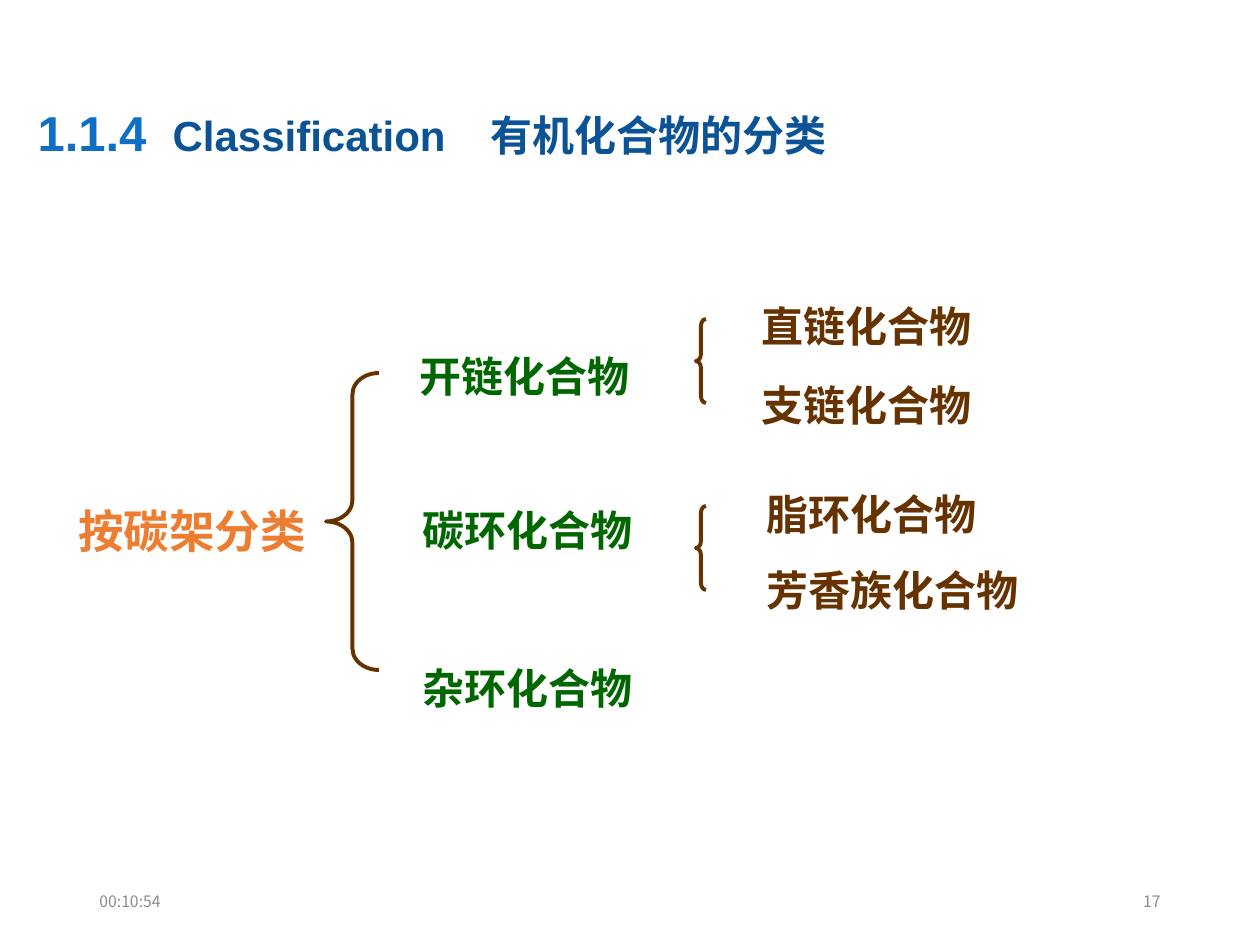
from lxml import etree
from pptx import Presentation
from pptx import util as u
from pptx.dml.color import RGBColor
from pptx.enum import shapes, text
from pptx.oxml.ns import qn

COLORS = {"number": "0F6FC6", "title": "0B5395", "root": "ED7D31",
          "class": "006600", "kind": "663300", "foot": "8C8C8C"}
CJK = "Noto Sans CJK SC"
SCALE = 914400 / 126


def px(n):
    return u.Emu(round(n * SCALE))


def rgb(name):
    return RGBColor.from_string(COLORS[name])


def style(para, face, size, color, bold=True):
    font = para.font
    font.name, font.size, font.bold = face, u.Pt(size), bold
    font.color.rgb = rgb(color)
    mark = para._p.pPr.find(qn("a:defRPr"))
    latin = mark.find(qn("a:latin"))
    east = etree.Element(qn("a:ea"), typeface=CJK)
    latin.addnext(east)


def label(slide, box, words, size, color, face="Times New Roman", bold=True):
    shape = slide.shapes.add_textbox(*map(px, box))
    frame = shape.text_frame
    frame.word_wrap = True
    para = frame.paragraphs[0]
    para.text = words
    style(para, face, size, color, bold)
    return frame


def brace(slide, box, bend):
    shape = slide.shapes.add_shape(shapes.MSO_SHAPE.LEFT_BRACE, *map(px, box))
    shape.shadow.inherit = False
    shape.fill.background()
    shape.line.color.rgb = rgb("kind")
    shape.line.width = u.Pt(2.25)
    shape.adjustments[0] = bend
    shape.adjustments[1] = 0.5


def heading(slide, box, stops):
    title = slide.shapes.title
    title.left, title.top, title.width, title.height = map(px, box)
    frame = title.text_frame
    frame.word_wrap = True
    frame.auto_size = text.MSO_AUTO_SIZE.NONE
    frame.vertical_anchor = text.MSO_ANCHOR.TOP
    para = frame.paragraphs[0]
    para.alignment = text.PP_ALIGN.LEFT
    # Tab stops hold the gaps between the three parts
    tabs = etree.SubElement(para._p.get_or_add_pPr(), qn("a:tabLst"))
    for stop in stops:
        etree.SubElement(tabs, qn("a:tab"), pos=str(px(stop)), algn="l")
    style(para, "Arial", 24, "title")
    num = para.add_run()
    num.text = "1.1.4"
    num.font.size = u.Pt(28)
    num.font.color.rgb = rgb("number")
    para.add_run().text = "\tClassification\t有机化合物的分类"


def classes(slide, box):
    """Root term, large brace and the three main classes."""
    x, y, w, h = box
    label(slide, (x, y + 153, 260, 68), "按碳架分类", 26, "root")
    brace(slide, (x + 260, y + 29, 53, 297), 0.4)
    rows = [(341, 0, "开链化合物"), (344, 154, "碳环化合物"), (344, 312, "杂环化合物")]
    for dx, dy, words in rows:
        label(slide, (x + dx, y + dy, w - dx, 64), words, 24, "class")


def kinds(slide, box, rows):
    """Small brace with the kinds of one class."""
    x, y, w, h = box
    brace(slide, (x, y, 10, h), 0.667)
    for dx, dy, words in rows:
        label(slide, (x + dx, y + dy, w - dx, 64), words, 24, "kind")


def footer(slide, box):
    x, y, w, h = box
    side = 284
    for left, words, align in [(x, "00:10:54", text.PP_ALIGN.LEFT),
                               (x + w - side, "17", text.PP_ALIGN.RIGHT)]:
        frame = label(slide, (left, y, side, h), words, 9, "foot", CJK, False)
        frame.vertical_anchor = text.MSO_ANCHOR.MIDDLE
        frame.paragraphs[0].alignment = align


def main():
    deck = Presentation()
    deck.slide_width, deck.slide_height = px(1260), px(945)
    slide = deck.slides.add_slide(deck.slide_layouts[5])
    heading(slide, (25, 96, 1168, 72), (135, 453))
    classes(slide, (66, 344, 625, 376))
    kinds(slide, (696, 319, 384, 84), [(53, -25, "直链化合物"), (53, 54, "支链化合物")])
    kinds(slide, (696, 506, 390, 84), [(58, -24, "脂环化合物"), (58, 52, "芳香族化合物")])
    footer(slide, (87, 876, 1086, 50))
    deck.save("out.pptx")


if __name__ == "__main__":
    main()
